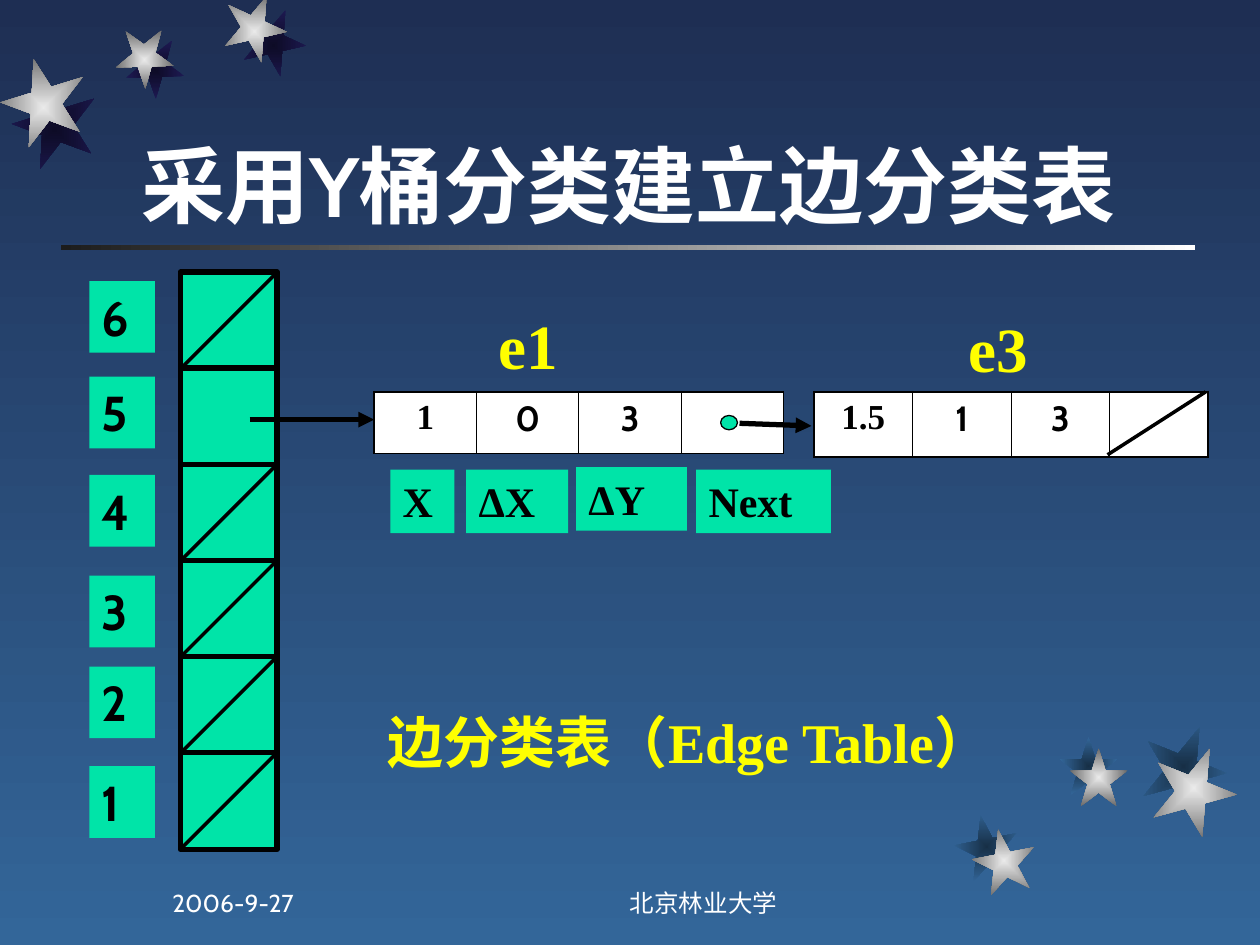
from lxml import etree
from pptx import Presentation
from pptx.dml.color import RGBColor
from pptx.enum import shapes, text
from pptx.oxml import ns
from pptx.util import Pt

COLORS = {
    "night": "1E2E53", "blue": "336699", "white": "FFFFFF", "black": "000000",
    "coal": "1C1C1C", "green": "00E4A8", "yellow": "FFFF00",
    "silver": "EAEAEA", "grey": "6B6B6B", "ink": "0D0B26", "violet": "1E1A53",
    "deep": "172F46",
}
SANS, SERIF = "Cabin", "Times New Roman"
LEFT, CENTER = text.PP_ALIGN.LEFT, text.PP_ALIGN.CENTER
TOP, BOTTOM = text.MSO_ANCHOR.TOP, text.MSO_ANCHOR.BOTTOM


def rgb(name):
    return RGBColor.from_string(COLORS[name])


def add_child(parent, tag, **attributes):
    return etree.SubElement(parent, ns.qn(tag), **attributes)


class SlideBuilder:
    def __init__(self, slide):
        self.slide = slide
        self.shapes = slide.shapes

    def gradient(self, fill, start, end, angle=0):
        fill.gradient()
        fill.gradient_angle = angle
        for stop, name in zip(fill.gradient_stops, (start, end)):
            stop.color.rgb = rgb(name)

    def fill_frame(self, frame, content, size, color, font, bold=True,
                   align=LEFT, anchor=TOP):
        frame.word_wrap = True
        frame.auto_size = text.MSO_AUTO_SIZE.NONE
        frame.vertical_anchor = anchor
        self.style_paragraph(frame.paragraphs[0], content, size, color, font,
                             bold, align)

    def style_paragraph(self, paragraph, content, size, color, font, bold, align):
        paragraph.text = content
        paragraph.alignment = align
        paragraph.font.size = Pt(size)
        paragraph.font.name = font
        paragraph.font.bold = bold
        paragraph.font.color.rgb = rgb(color)

    def title(self, content, box):
        title = self.shapes.title
        title.left, title.top, title.width, title.height = map(Pt, box)
        self.fill_frame(title.text_frame, content, 48, "white", SANS, anchor=BOTTOM)

    def label(self, content, box, size, color, font, **style):
        textbox = self.shapes.add_textbox(*map(Pt, box))
        self.fill_frame(textbox.text_frame, content, size, color, font, **style)

    def shape(self, kind, box, fill="green", line=0):
        shape = self.shapes.add_shape(kind, *map(Pt, box))
        shape.shadow.inherit = False
        shape.fill.solid()
        shape.fill.fore_color.rgb = rgb(fill)
        if line:
            shape.line.color.rgb = rgb("black")
            shape.line.width = Pt(line)
        else:
            shape.line.fill.background()
        return shape

    def rectangle(self, box, line=0):
        return self.shape(shapes.MSO_SHAPE.RECTANGLE, box, line=line)

    def tag(self, content, box, size, font):
        self.fill_frame(self.rectangle(box).text_frame, content, size, "black", font)

    def star(self, left, top, size, rotation, colors):
        star = self.shape(shapes.MSO_SHAPE.STAR_5_POINT, (left, top, size, size))
        star.rotation = rotation
        self.gradient(star.fill, *colors)
        # Radiate from the centre instead of along a line
        linear = star._element.spPr.find(".//" + ns.qn("a:lin"))
        radial = etree.Element(ns.qn("a:path"), path="rect")
        add_child(radial, "a:fillToRect", l="50000", t="50000", r="50000", b="50000")
        linear.getparent().replace(linear, radial)

    def line(self, start, end, width, arrow=False):
        connector = self.shapes.add_connector(
            shapes.MSO_CONNECTOR.STRAIGHT, *map(Pt, start + end))
        connector.line.color.rgb = rgb("black")
        connector.line.width = Pt(width)
        if arrow:
            add_child(connector.line._get_or_add_ln(), "a:tailEnd", type="triangle")
        add_child(connector._element.spPr, "a:effectLst")

    def record(self, values, box):
        table = self.shapes.add_table(1, len(values), *map(Pt, box)).table
        last = len(values) - 1
        for index, value in enumerate(values):
            table.columns[index].width = Pt(box[2] / len(values))
            cell = table.cell(0, index)
            widths = {"L": 0.45 if index else 1.08,
                      "R": 0.45 if index < last else 1.08,
                      "T": 1.08, "B": 1.08}
            for side, width in widths.items():
                border = add_child(cell._tc.get_or_add_tcPr(), "a:ln" + side,
                                   w=str(Pt(width)))
                solid = add_child(border, "a:solidFill")
                add_child(solid, "a:srgbClr", val=COLORS["black"])
            cell.fill.solid()
            cell.fill.fore_color.rgb = rgb("white")
            if value:
                self.style_paragraph(cell.text_frame.paragraphs[0], value, 20,
                                     "black", SANS if index else SERIF, True, CENTER)


def main():
    presentation = Presentation()
    presentation.slide_width, presentation.slide_height = Pt(720), Pt(540)
    slide = presentation.slides.add_slide(presentation.slide_layouts[5])
    builder = SlideBuilder(slide)

    # Background, rule and stars with their shadows
    builder.gradient(slide.background.fill, "night", "blue", 270)
    rule = builder.rectangle((34.8, 140.2, 648, 2.5))
    builder.gradient(rule.fill, "white", "coal", 180)
    top_stars = [  # star left and top, shadow left and top, size, rotation
        (127.4, 0, 138.2, 7.9, 36, 167.3),
        (66, 17.6, 72, 23.4, 33.1, 178.3),
        (0.7, 37.4, 7.2, 49.7, 48.2, 200.3),
    ]
    bottom_stars = [
        (555.8, 473.8, 545.8, 465.8, 36, 349),
        (611.3, 427.7, 605.5, 421.2, 33.1, 0),
        (658.1, 426.2, 652.3, 414, 48.2, 22),
    ]
    for stars, shadow in ((top_stars, ("ink", "violet")),
                          (bottom_stars, ("deep", "blue"))):
        for _, _, left, top, size, rotation in stars:
            builder.star(left, top, size, rotation, shadow)
        for left, top, _, _, size, rotation in stars:
            builder.star(left, top, size, rotation, ("silver", "grey"))

    builder.title("采用Y桶分类建立边分类表", (73.4, 22.3, 613.4, 115.2))

    # Edge records
    builder.record(("1", "0", "3", ""), (213.8, 223.9, 234, 35.3))
    builder.record(("1.5", "1", "3", ""), (465.1, 223.9, 225.4, 37.4))

    # Buckets 6 to 1; a diagonal marks an empty one
    bucket_left, bucket_top, bucket_size, step = 103, 155.5, 55.4, 54.9
    tag_tops = (160.6, 215.3, 271.4, 329, 380.9, 437.8)
    bucket_tops = [bucket_top + step * row for row in range(len(tag_tops))]
    for top in bucket_tops:
        builder.rectangle((bucket_left, top, bucket_size, bucket_size), line=3)
    for number, top, tag_top in zip(range(6, 0, -1), bucket_tops, tag_tops):
        builder.tag(str(number), (51.1, tag_top, 37.4, 41), 28, SANS)
        if number != 5:
            builder.line((bucket_left + bucket_size, top),
                         (bucket_left, top + bucket_size), 2)

    # Links between records
    builder.line((142.6, 239.8), (213.8, 239.8), 3, arrow=True)
    builder.line((422.6, 241.9), (463.7, 243.4), 3, arrow=True)
    builder.shape(shapes.MSO_SHAPE.OVAL, (411.8, 237.4, 9.6, 8.2), line=0.75)
    builder.line((689, 223.9), (632.9, 259.9), 2)

    # Field names
    for name, left, top, width in (("X", 223, 268.4, 36.7), ("ΔX", 266.4, 268.4, 58.3),
                                   ("ΔY", 329.2, 267, 63.4), ("Next", 397.8, 268.4, 77)):
        builder.tag(name, (left, top, width, 36.2), 24, SERIF)

    # Captions and footer
    builder.label("e1", (278, 171.4, 60.5, 50.4), 36, "yellow", SERIF)
    builder.label("e3", (546.5, 173.5, 60.5, 50.4), 36, "yellow", SERIF)
    builder.label("边分类表（Edge Table）", (214.6, 401, 377.3, 46.1), 32, "yellow", SERIF)
    builder.label("2006-9-27", (91.4, 491.8, 149.8, 36), 14, "white", SANS,
                  bold=False, anchor=BOTTOM)
    builder.label("北京林业大学", (288, 491.8, 228.2, 36), 14, "white", SANS,
                  bold=False, align=CENTER, anchor=BOTTOM)

    presentation.save("out.pptx")


if __name__ == "__main__":
    main()
